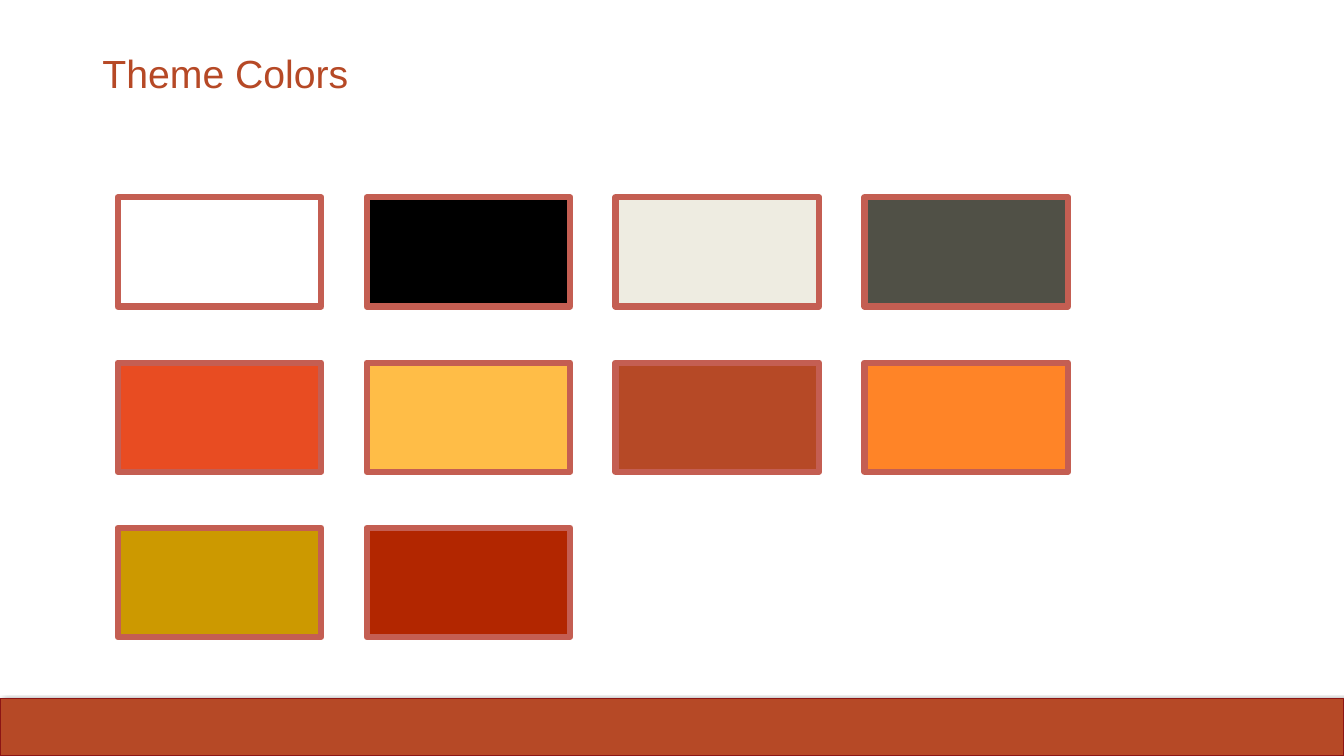
import pptx
import pptx.dml.color
import pptx.enum.shapes
import pptx.enum.text
import pptx.util
import lxml.etree
import pptx.oxml.ns

Pt = pptx.util.Pt
RGBColor = pptx.dml.color.RGBColor

RUST = RGBColor(0xB6, 0x49, 0x26)
MAROON = RGBColor(0x8C, 0x15, 0x15)
FRAME = RGBColor(0xC4, 0x5E, 0x52)
SWATCHES = [
    [RGBColor(0xFF, 0xFF, 0xFF), RGBColor(0x00, 0x00, 0x00),
     RGBColor(0xEE, 0xEC, 0xE1), RGBColor(0x50, 0x50, 0x46)],
    [RGBColor(0xE8, 0x4C, 0x22), RGBColor(0xFF, 0xBD, 0x47),
     RUST, RGBColor(0xFF, 0x84, 0x27)],
    [RGBColor(0xCC, 0x99, 0x00), RGBColor(0xB2, 0x26, 0x00)],
]


def add_rectangle(page, box, fill, line, line_width):
    rectangle = page.shapes.add_shape(
        pptx.enum.shapes.MSO_SHAPE.RECTANGLE, *[Pt(length) for length in box])
    rectangle.shadow.inherit = False
    rectangle.fill.solid()
    rectangle.fill.fore_color.rgb = fill
    rectangle.line.color.rgb = line
    rectangle.line.width = Pt(line_width)
    return rectangle


def add_footer_bar(page, box):
    bar = add_rectangle(page, box, RUST, MAROON, 0.75)
    effects = bar._element.spPr.find(pptx.oxml.ns.qn("a:effectLst"))
    shadow = lxml.etree.SubElement(
        effects, pptx.oxml.ns.qn("a:outerShdw"),
        blurRad=str(Pt(3)), dist=str(Pt(2)), dir=str(45 * 60000))
    color = lxml.etree.SubElement(shadow, pptx.oxml.ns.qn("a:srgbClr"), val="000000")
    lxml.etree.SubElement(color, pptx.oxml.ns.qn("a:alpha"), val="60000")


def set_title(page, box, wording):
    title = page.shapes.title
    title.left, title.top, title.width, title.height = [Pt(length) for length in box]
    frame = title.text_frame
    frame.text = wording
    frame.word_wrap = True
    frame.auto_size = pptx.enum.text.MSO_AUTO_SIZE.NONE
    frame.vertical_anchor = pptx.enum.text.MSO_ANCHOR.MIDDLE
    para = frame.paragraphs[0]
    para.alignment = pptx.enum.text.PP_ALIGN.LEFT
    para.line_spacing = 0.9
    span = para.runs[0]
    span.font.name = "Arial"
    span.font.size = Pt(28)
    span.font.color.rgb = RUST


def add_swatch_grid(page, box, swatch_width, swatch_height):
    left, top, width, height = box
    column_step = (width - swatch_width) / (len(SWATCHES[0]) - 1)
    row_step = (height - swatch_height) / (len(SWATCHES) - 1)
    for row, colors in enumerate(SWATCHES):
        for column, color in enumerate(colors):
            swatch_box = (left + column * column_step, top + row * row_step,
                          swatch_width, swatch_height)
            add_rectangle(page, swatch_box, color, FRAME, 4.33)


deck = pptx.Presentation()
deck.slide_width = Pt(960)
deck.slide_height = Pt(540)
page = deck.slides.add_slide(deck.slide_layouts[5])
add_footer_bar(page, (0, 499, 960, 41))
set_title(page, (66, 29, 828, 50), "Theme Colors")
add_swatch_grid(page, (84, 141, 679, 314), 145.5, 78)
deck.save("out.pptx")
